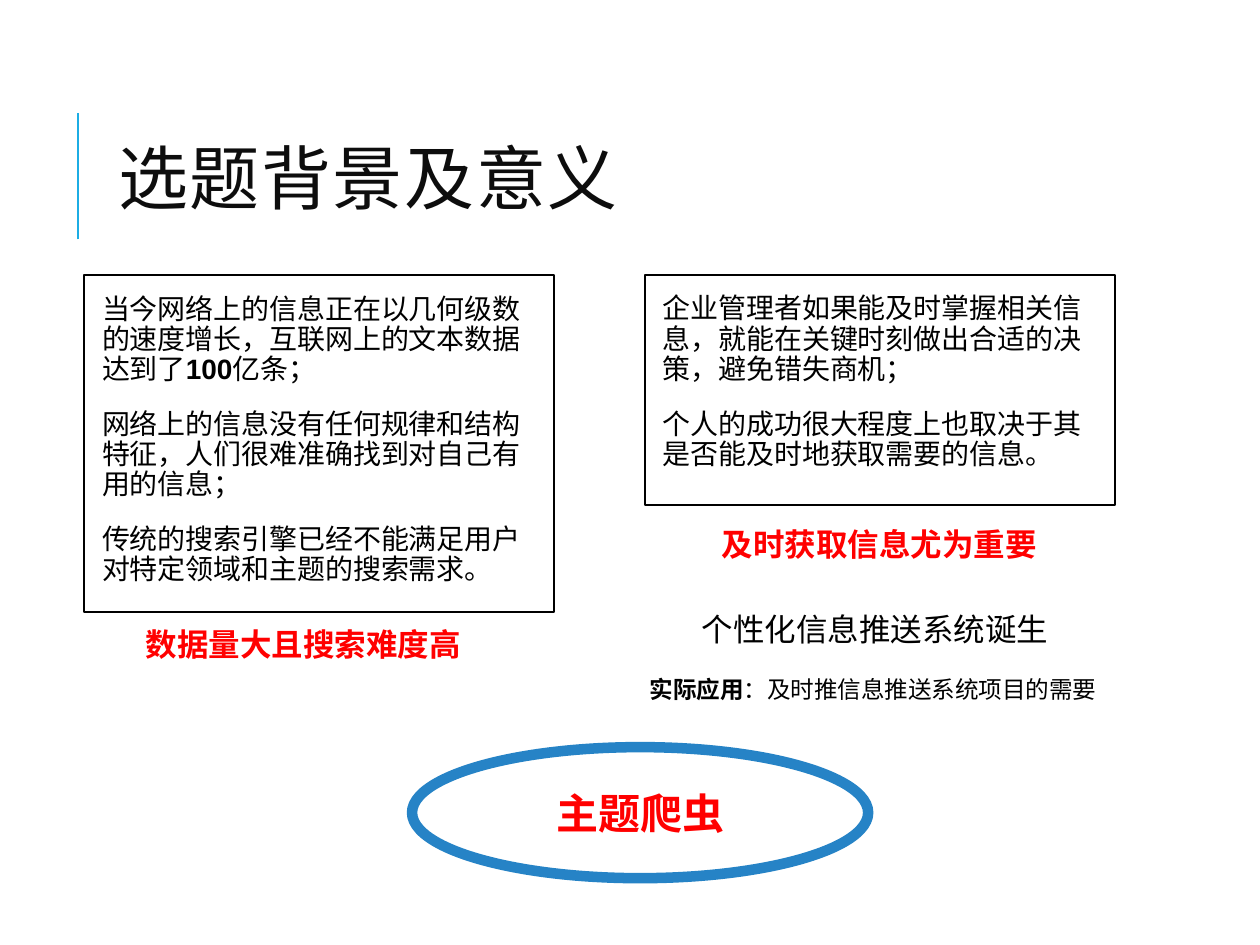
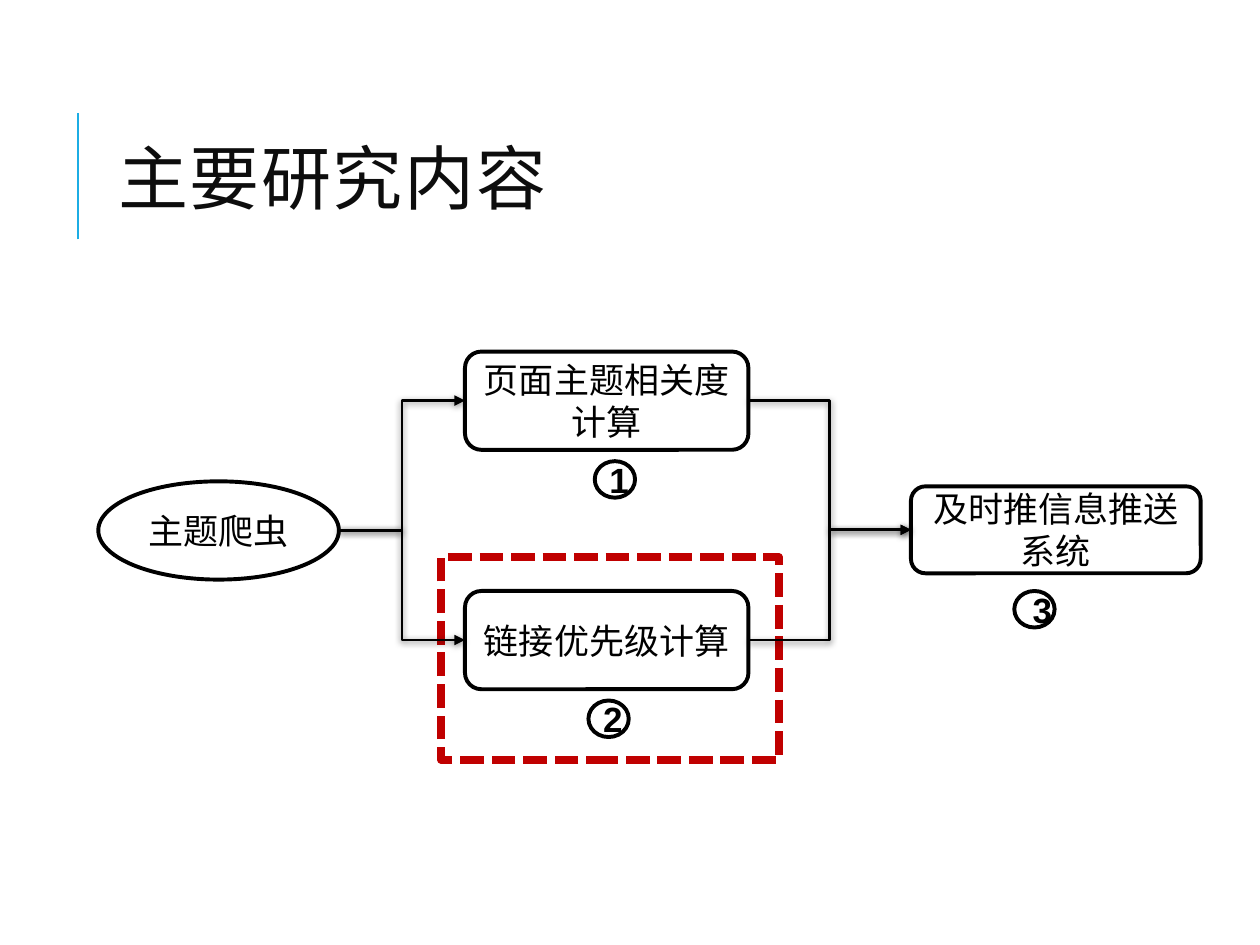
from lxml import etree
from pptx import Presentation
from pptx.dml.color import RGBColor
from pptx.enum import dml, shapes, text
from pptx.oxml import ns
from pptx.util import Pt

PX = 9144
BLACK, WHITE, RED = "000000", "FFFFFF", "FF0000"
SKY, BLUE, DARK, BRICK = "1CADE4", "2683C6", "0D0D0D", "C00000"
SANS, HAN, HEAD = "Arial", "Noto Sans CJK SC", "Montserrat"
KIND = shapes.MSO_SHAPE
MID = text.MSO_ANCHOR.MIDDLE


def color(code):
    return RGBColor.from_string(code)


def scale(*box):
    return [n * PX for n in box]


def style(para, size, code=BLACK, face=SANS, bold=False):
    font = para.font
    font.size, font.name, font.bold = Pt(size), face, bold
    font.color.rgb = color(code)


def label(slide, box, words, size, code=BLACK, face=SANS, bold=False):
    area = slide.shapes.add_textbox(*scale(*box))
    frame = area.text_frame
    frame.word_wrap = True
    para = frame.paragraphs[0]
    para.text = words
    style(para, size, code, face, bold)
    return frame


def outline(slide, kind, box, line=BLACK, width=2.25, fill=None):
    shape = slide.shapes.add_shape(kind, *scale(*box))
    shape.shadow.inherit = False
    if fill:
        shape.fill.solid()
        shape.fill.fore_color.rgb = color(fill)
    else:
        shape.fill.background()
    shape.line.color.rgb = color(line)
    shape.line.width = Pt(width)
    return shape


def node(slide, kind, box, words, size=20, code=BLACK, bold=False, **look):
    shape = outline(slide, kind, box, **look)
    frame = shape.text_frame
    frame.word_wrap = True
    frame.vertical_anchor = MID
    para = frame.paragraphs[0]
    para.text = words
    para.alignment = text.PP_ALIGN.CENTER
    style(para, size, code, bold=bold)
    return shape


def wire(slide, kind, ends, code, width):
    line = slide.shapes.add_connector(kind, *ends)
    line.line.color.rgb = color(code)
    line.line.width = Pt(width)
    props = line._element.spPr
    return line, etree.SubElement(props, ns.qn("a:effectLst"))


def link(slide, start, end):
    ends = (start.left + start.width, start.top + start.height // 2,
            end.left, end.top + end.height // 2)
    line, effects = wire(slide, shapes.MSO_CONNECTOR.ELBOW, ends, BLACK, 1.5)
    stroke = line.line._get_or_add_ln()
    etree.SubElement(stroke, ns.qn("a:tailEnd"), type="triangle")
    shade = etree.SubElement(effects, ns.qn("a:outerShdw"), blurRad=str(Pt(4)),
                             dist=str(Pt(1)), dir="5400000", rotWithShape="0")
    tint = etree.SubElement(shade, ns.qn("a:srgbClr"), val=BLACK)
    etree.SubElement(tint, ns.qn("a:alpha"), val="50000")


def page(deck, title):
    slide = deck.slides.add_slide(deck.slide_layouts[6])
    wire(slide, shapes.MSO_CONNECTOR.STRAIGHT, scale(62, 190, 62, 90), SKY, 1.5)
    frame = label(slide, (84, 64, 797, 164), title, 40, DARK, HEAD)
    frame.vertical_anchor = MID
    para = frame.paragraphs[0]
    para.line_spacing = 0.8
    para.runs[0].font._element.set("spc", "100")
    return slide


def panel(slide, box, width, items):
    left, top, wide, high = box
    outline(slide, KIND.RECTANGLE, box, width=1.25)
    area = slide.shapes.add_textbox(*scale(left, top + 12, width, high - 20))
    frame = area.text_frame
    frame.word_wrap = True
    frame.margin_left = frame.margin_right = 4 * PX
    frame.margin_top = frame.margin_bottom = 4 * PX
    for i, parts in enumerate(items):
        para = frame.add_paragraph() if i else frame.paragraphs[0]
        style(para, 16)
        para.line_spacing = 0.9
        para.space_before, para.space_after = Pt(12), Pt(2)
        para._p.get_or_add_pPr().set("marL", str(10 * PX))
        for j, words in enumerate(parts):
            run = para.add_run()
            run.text = words
            run.font.bold = j % 2 == 1


def reasons(deck):
    slide = page(deck, "选题背景及意义")
    panel(slide, (67, 218, 373, 268), 372, [
        ("当今网络上的信息正在以几何级数的速度增长，互联网上的文本数据达到了",
         "100", "亿条；"),
        ("网络上的信息没有任何规律和结构特征，人们很难准确找到对自己有用的信息；",),
        ("传统的搜索引擎已经不能满足用户对特定领域和主题的搜索需求。",)])
    panel(slide, (512, 218, 373, 183), 366, [
        ("企业管理者如果能及时掌握相关信息，就能在关键时刻做出合适的决策，避免错失商机；",),
        ("个人的成功很大程度上也取决于其是否能及时地获取需要的信息。",)])
    for box, words in (((106, 491, 315, 40), "数据量大且搜索难度高"),
                       ((563, 412, 273, 40), "及时获取信息尤为重要")):
        label(slide, box, words, 18, RED, HAN, True)
    label(slide, (547, 479, 298, 40), "个性化信息推送系统诞生", 18)
    use = label(slide, (506, 531, 380, 33), "实际应用", 13.5).paragraphs[0]
    use.runs[0].font.bold = True
    use.add_run().text = "：及时推信息推送系统项目的需要"
    node(slide, KIND.OVAL, (327, 593, 362, 104), "主题爬虫", 24, RED, True,
         line=BLUE, width=6, fill=WHITE)


def badge(slide, left, top, words, pad):
    shape = node(slide, KIND.OVAL, (left, top, 32, 29), words, bold=True)
    if pad:
        frame = shape.text_frame
        frame.margin_left = frame.margin_right = 7 * PX
        frame.margin_top = frame.margin_bottom = 4 * PX


def topics(deck):
    slide = page(deck, "主要研究内容")
    focus = outline(slide, KIND.RECTANGLE, (350, 442, 268, 161), BRICK, 4.5)
    focus.line.dash_style = dml.MSO_LINE.SQUARE_DOT
    focus.line._get_or_add_ln().find(ns.qn("a:prstDash")).set("val", "sysDash")
    crawl = node(slide, KIND.OVAL, (78, 382, 191, 78), "主题爬虫", fill=WHITE)
    match = node(slide, KIND.ROUNDED_RECTANGLE, (369, 279, 225, 78),
                 "页面主题相关度计算", fill=WHITE)
    rank = node(slide, KIND.ROUNDED_RECTANGLE, (369, 469, 225, 78),
                "链接优先级计算")
    push = node(slide, KIND.ROUNDED_RECTANGLE, (723, 386, 230, 69),
                "及时推信息推送系统", fill=WHITE)
    for spot in ((472, 366, "1", True), (467, 556, "2", True),
                 (805, 469, "3", False)):
        badge(slide, *spot)
    for step in (match, rank):
        link(slide, crawl, step)
        link(slide, step, push)


def main():
    deck = Presentation()
    deck.slide_width, deck.slide_height = scale(1000, 750)
    reasons(deck)
    topics(deck)
    deck.save("out.pptx")


if __name__ == "__main__":
    main()
